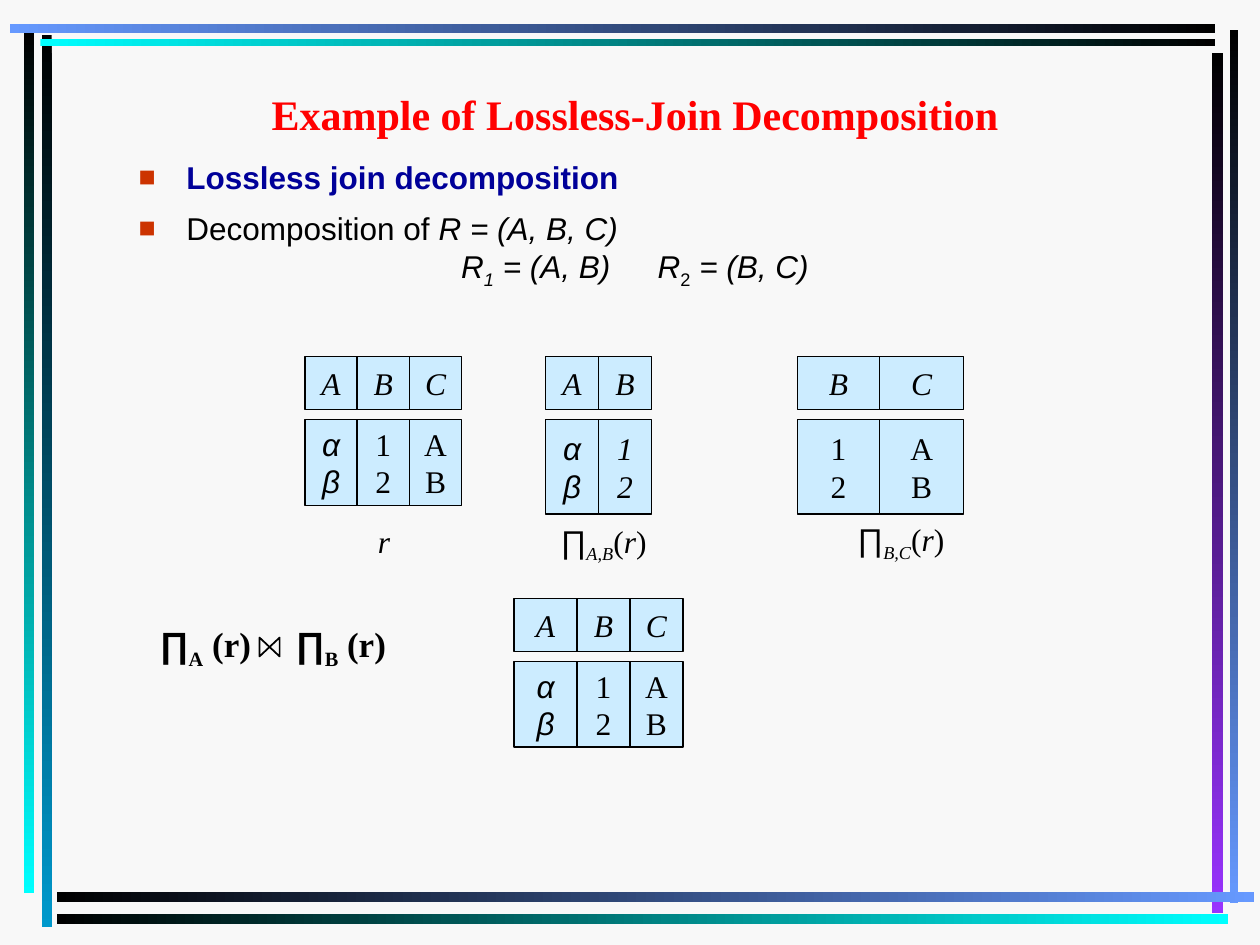
from copy import deepcopy

from lxml.etree import SubElement
from pptx import Presentation
from pptx.dml.color import RGBColor
from pptx.enum.shapes import MSO_SHAPE as Shape
from pptx.enum.text import MSO_ANCHOR as Anchor, MSO_AUTO_SIZE as Fit, PP_ALIGN as Align
from pptx.oxml.ns import qn
from pptx.util import Inches, Pt

SERIF, SANS = "Times New Roman", "Arial"
BLACK = "000000"
TEXT = {"name": SERIF, "size": Pt(18), "bold": False, "italic": False, "color": BLACK}
ROMAN, SLANT = {}, {"italic": True}
PLAIN = {"name": SANS}
LEAN = {"name": SANS, "italic": True}
HEAVY = {"size": Pt(20), "bold": True}

# left, top, width, height, first colour, last colour
BARS = [
    (0.33, 0.28, 0.08, 7.08, BLACK, "0099CC"),
    (0.19, 0.25, 0.08, 6.84, BLACK, "00FFFF"),
    (9.76, 0.24, 0.07, 6.93, BLACK, "6699FF"),
    (9.62, 0.42, 0.09, 6.83, BLACK, "9933FF"),
    (0.45, 7.08, 9.5, 0.08, BLACK, "6699FF"),
    (0.45, 7.25, 9.3, 0.08, BLACK, "00FFFF"),
    (0.32, 0.31, 9.32, 0.06, "00FFFF", BLACK),
    (0.08, 0.19, 9.56, 0.07, "6699FF", BLACK),
]

# head, values, format of the values
COL_A = ("A", "αβ", LEAN)
COL_B = ("B", "12", ROMAN)
COL_C = ("C", "AB", ROMAN)

# left, top, height of the values, columns, column widths
GRIDS = [
    (2.42, 2.83, 0.68, [COL_A, COL_B, COL_C], [0.415] * 3),
    (4.33, 2.83, 0.75, [COL_A, ("B", "12", SLANT)], [0.42] * 2),
    (6.33, 2.83, 0.75, [COL_B, COL_C], [0.65, 0.67]),
    (4.08, 4.75, 0.68, [COL_A, COL_B, COL_C], [0.5, 0.42, 0.42]),
]


def rgb(code):
    return RGBColor.from_string(code)


def write(para, text, form=ROMAN, sub=False):
    """Add a run; a sub run is set as a subscript."""
    run = para.add_run()
    run.text = text
    for key, value in {**TEXT, **form}.items():
        if key == "color":
            run.font.color.rgb = rgb(value)
        else:
            setattr(run.font, key, value)
    if sub:
        run.font._element.set("baseline", "-25000")
    return run


def place(shape, left, top, width, height):
    for key, value in zip(("left", "top", "width", "height"), (left, top, width, height)):
        setattr(shape, key, Inches(value))


def frame(shape, anchor=Anchor.TOP, wrap=True):
    body = shape.text_frame
    form = {"auto_size": Fit.NONE, "vertical_anchor": anchor, "word_wrap": wrap}
    for key, value in form.items():
        setattr(body, key, value)
    return body


def box(slide, left, top, width, height, anchor=Anchor.TOP):
    shape = slide.shapes.add_textbox(*map(Inches, (left, top, width, height)))
    return frame(shape, anchor).paragraphs[0]


def add_tabs(para, *stops):
    tabs = SubElement(para._p.get_or_add_pPr(), qn("a:tabLst"))
    for stop in stops:
        SubElement(tabs, qn("a:tab"), pos=str(Inches(stop)), algn="l")


def bullet(para):
    props = para._p.get_or_add_pPr()
    props.set("marL", str(Inches(0.38)))
    props.set("indent", str(-Inches(0.38)))
    tint = SubElement(props, qn("a:buClr"))
    SubElement(tint, qn("a:srgbClr"), val="CC3300")
    SubElement(props, qn("a:buSzPct"), val="90000")
    SubElement(props, qn("a:buFont"), typeface=SANS)
    SubElement(props, qn("a:buChar"), char="■")


def add_bar(slide, left, top, width, height, first, last):
    bar = slide.shapes.add_shape(Shape.RECTANGLE, *map(Inches, (left, top, width, height)))
    bar.shadow.inherit = False
    bar.line.fill.background()
    bar.fill.gradient()
    bar.fill.gradient_angle = 0 if width > height else 270
    for stop, code in zip(bar.fill.gradient_stops, (first, last)):
        stop.color.rgb = rgb(code)


def add_cell(slide, left, top, width, height, lines, form):
    cell = slide.shapes.add_shape(Shape.RECTANGLE, *map(Inches, (left, top, width, height)))
    cell.shadow.inherit = False
    cell.fill.solid()
    cell.fill.fore_color.rgb = rgb("CCECFF")
    cell.line.color.rgb = rgb(BLACK)
    cell.line.width = Pt(0.75)
    body = frame(cell, Anchor.MIDDLE, False)
    for i, line in enumerate(lines):
        para = body.add_paragraph() if i else body.paragraphs[0]
        para.alignment = Align.CENTER
        write(para, line, form)


def add_grid(slide, left, top, height, cols, widths):
    for (head, values, form), width in zip(cols, widths):
        add_cell(slide, left, top, width, 0.42, head, SLANT)
        add_cell(slide, left, top + 0.5, width, height, values, form)
        left += width


def add_label(slide, spot, names=None):
    """Centre r below a grid, or its projection on the names."""
    para = box(slide, *spot, Anchor.MIDDLE)
    para.alignment = Align.CENTER
    if names:
        write(para, "∏", PLAIN)
        write(para, names, SLANT, True)
        write(para, "(")
    write(para, "r", SLANT)
    if names:
        write(para, ")")


def add_title(slide):
    title = slide.shapes.title
    place(title, 1.58, 0.58, 6.92, 0.57)
    para = frame(title, Anchor.BOTTOM).paragraphs[0]
    para.alignment = Align.CENTER
    write(para, "Example of Lossless-Join Decomposition",
          {"size": Pt(24), "bold": True, "color": "FF0000"})


def add_list(slide):
    holder = slide.placeholders[1]
    place(holder, 1, 1.2, 7.65, 1.32)
    body = frame(holder)
    first, second = body.paragraphs[0], body.add_paragraph()
    for para, space in ((first, 0), (second, 7.9)):
        bullet(para)
        para.space_before = Pt(space)
    add_tabs(second, 2.56, 4.12)
    write(first, "Lossless join decomposition",
          {**PLAIN, "bold": True, "color": "000099"})
    write(second, "Decomposition of ", PLAIN)
    run = write(second, "R = (A, B, C)", LEAN)
    second.add_line_break()
    second._p[-1].append(deepcopy(run.font._element))
    write(second, "\tR", LEAN)
    write(second, "1", LEAN, True)
    write(second, " = (A, B)\tR", LEAN)
    write(second, "2", PLAIN, True)
    write(second, " = (B, C)", LEAN)


def add_join(slide):
    para = box(slide, 1.17, 4.89, 2.75, 0.95)
    add_tabs(para, 1.08)
    for name, tail in (("A", " (r)\t"), ("B", " (r)")):
        write(para, "∏", {**HEAVY, **PLAIN})
        write(para, name, HEAVY, True)
        write(para, tail, HEAVY)
    left, right, top, base = map(Inches, (2.06, 2.22, 5.06, 5.21))
    pen = slide.shapes.build_freeform(left, top)
    pen.add_line_segments([(left, base), (right, top), (right, base)], close=True)
    tie = pen.convert_to_shape()
    tie.shadow.inherit = False
    tie.fill.background()
    tie.line.color.rgb = rgb(BLACK)
    tie.line.width = Pt(1)


def main():
    deck = Presentation()
    deck.slide_width, deck.slide_height = Inches(10), Inches(7.5)
    slide = deck.slides.add_slide(deck.slide_layouts[1])
    slide.background.fill.solid()
    slide.background.fill.fore_color.rgb = rgb("F8F8F8")
    for bar in BARS:
        add_bar(slide, *bar)
    add_title(slide)
    add_list(slide)
    for grid in GRIDS:
        add_grid(slide, *grid)
    add_label(slide, (2.9, 4.09, 0.29, 0.4))
    add_label(slide, (4.08, 4.09, 1.42, 0.44), "A,B")
    add_label(slide, (6.58, 4.08, 1.14, 0.44), "B,C")
    add_join(slide)
    deck.save("out.pptx")


if __name__ == "__main__":
    main()
